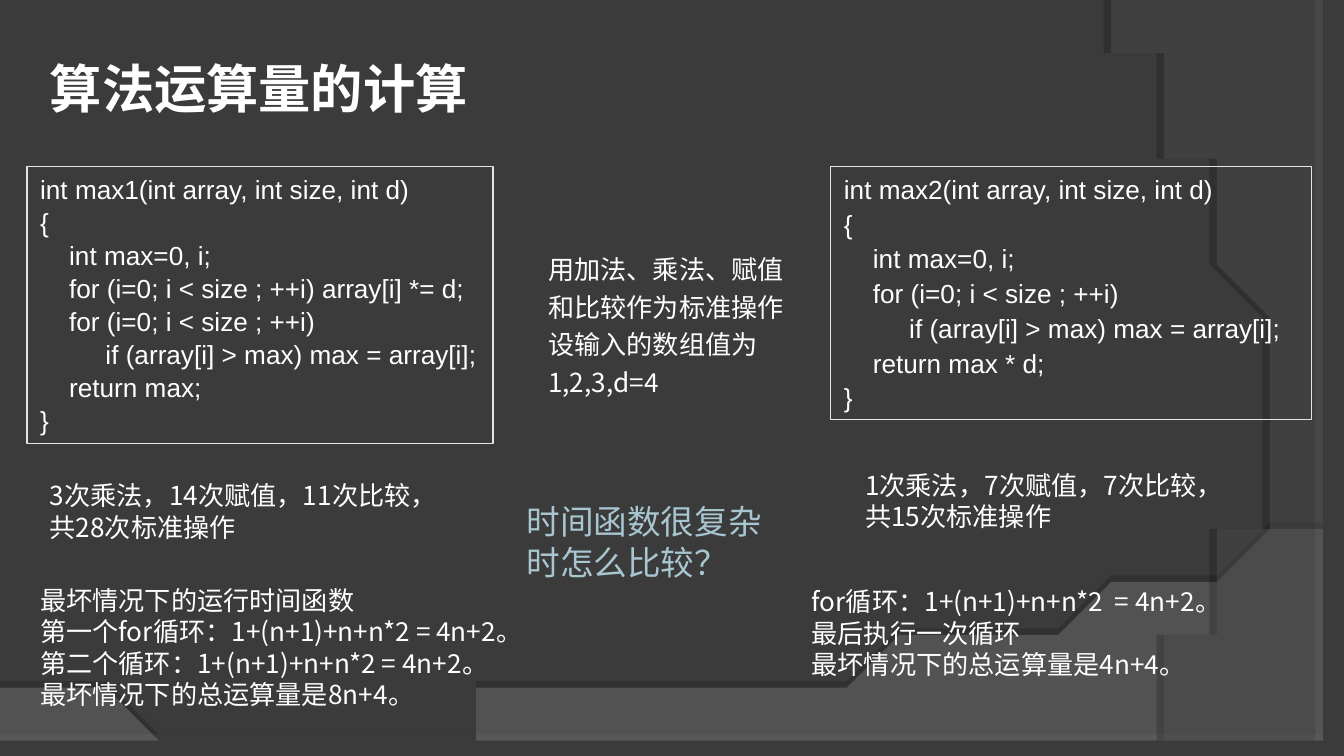
import lxml.etree
import pptx
import pptx.dml.color
import pptx.enum.shapes
import pptx.enum.text
import pptx.oxml.ns
import pptx.util

Cm, Pt = pptx.util.Cm, pptx.util.Pt
RGB = pptx.dml.color.RGBColor
ALIGN = pptx.enum.text.PP_ALIGN
qn = pptx.oxml.ns.qn

DARK = RGB(0x3B, 0x3B, 0x3B)
WAVE = RGB(0x7C, 0x7C, 0x7C)
ARC = RGB(0x59, 0x59, 0x59)
EDGE = RGB(0xE5, 0xE5, 0xE5)
WHITE = RGB(0xFF, 0xFF, 0xFF)
BLUE = RGB(0xA8, 0xC6, 0xD0)
SANS, CODE = "Noto Sans CJK SC", "Arial"


def bend(a, b, c, d, steps=60):
    """Points along a cubic curve from a to d."""
    for i in range(1, steps + 1):
        t = i / steps
        u = 1 - t
        yield tuple(u**3 * p + 3 * u * u * t * q + 3 * u * t * t * r + t**3 * s
                    for p, q, r, s in zip(a, b, c, d))


class Deck:
    pitch = 1.2  # line height as a share of the text size

    def __init__(self, wide, high):
        self.prs = pptx.Presentation()
        self.prs.slide_width, self.prs.slide_height = Cm(wide), Cm(high)

    def page(self):
        self.slide = self.prs.slides.add_slide(self.prs.slide_layouts[5])
        fill = self.slide.background.fill
        fill.solid()
        fill.fore_color.rgb = DARK

    def put(self, shape, lines, size=14, font=SANS, color=WHITE,
            bold=False, align=ALIGN.LEFT, lead=1, gap=0):
        frame = shape.text_frame
        frame.word_wrap = True
        frame.auto_size = pptx.enum.text.MSO_AUTO_SIZE.NONE
        frame.vertical_anchor = pptx.enum.text.MSO_ANCHOR.TOP
        for i, line in enumerate(lines):
            para = frame.add_paragraph() if i else frame.paragraphs[0]
            para.alignment = align
            para.line_spacing = Pt(size * self.pitch * lead)
            if i:
                para.space_before = Pt(gap)
            run = para.add_run()
            run.text = line
            run.font.size, run.font.bold = Pt(size), bold
            run.font.color.rgb = color
            run.font.name = font
            east = lxml.etree.SubElement(run.font._element, qn("a:ea"))
            east.set("typeface", font)

    def title(self, box, text):
        shape = self.slide.shapes.title
        shape.left, shape.top, shape.width, shape.height = map(Cm, box)
        self.put(shape, [text], size=28, bold=True)

    def text(self, box, lines, **look):
        self.put(self.slide.shapes.add_textbox(*map(Cm, box)), lines, **look)

    def code(self, box, lines, gap):
        shape = self.slide.shapes.add_shape(
            pptx.enum.shapes.MSO_SHAPE.RECTANGLE, *map(Cm, box))
        shape.shadow.inherit = False
        shape.fill.background()
        shape.line.color.rgb = EDGE
        shape.line.width = Pt(0.75)
        self.put(shape, lines, font=CODE, align=ALIGN.JUSTIFY, gap=gap)

    def sweep(self, points, color, alpha, shade, dist, angle):
        """Clear filled outline with a hard shadow."""
        start, *rest = points
        form = self.slide.shapes.build_freeform(*start, scale=Cm(1))
        form.add_line_segments(rest, close=True)
        shape = form.convert_to_shape()
        shape.line.fill.background()
        shape.fill.solid()
        shape.fill.fore_color.rgb = color
        shape.shadow.inherit = False
        props = shape._element.spPr
        tint = props.find(qn("a:solidFill")).find(qn("a:srgbClr"))
        lxml.etree.SubElement(tint, qn("a:alpha")).set("val", str(alpha * 1000))
        cast = lxml.etree.SubElement(
            props.find(qn("a:effectLst")), qn("a:outerShdw"), blurRad="0",
            dist=str(int(Pt(dist))), dir=str(angle * 60000), rotWithShape="0")
        black = lxml.etree.SubElement(cast, qn("a:srgbClr"), val="000000")
        lxml.etree.SubElement(black, qn("a:alpha")).set("val", str(shade * 1000))


def main():
    wide, high = 25.4, 14.29
    deck = Deck(wide, high)
    deck.page()

    # Backdrop curves
    low = [(0, 13.44), (0, high), (wide, high), (wide, 9.91)]
    low += bend(low[-1], (14.2, 13.89), (9.93, 13.69), low[0])
    deck.sweep(low, WAVE, 45, 35, 3.5, 270)
    side = [(wide, 0.03), (wide, high), (20.85, 14.27)]
    side += bend(side[-1], (23.75, 11.79), (25.86, 5.72), (20.32, 0))
    deck.sweep(side, ARC, 40, 45, 4, 180)

    deck.title((0.69, 0.94, 9.27, 1.45), "算法运算量的计算")

    # The two functions
    deck.code((0.51, 3.15, 8.81, 5.23), [
        "int max1(int array, int size, int d)",
        "{",
        "    int max=0, i;",
        "    for (i=0; i < size ; ++i) array[i] *= d;",
        "    for (i=0; i < size ; ++i)",
        "         if (array[i] > max) max = array[i];",
        "    return max;",
        "}"], gap=0.9)
    deck.code((15.7, 3.15, 9.09, 4.78), [
        "int max2(int array, int size, int d)",
        "{",
        "    int max=0, i;",
        "    for (i=0; i < size ; ++i)",
        "         if (array[i] > max) max = array[i];",
        "    return max * d;",
        "}"], gap=1.8)

    # Assumptions
    deck.text((10.11, 4.55, 5.11, 3.1), [
        "用加法、乘法、赋值和比较作为标准操作",
        "设输入的数组值为1,2,3,d=4"], lead=1.2)

    # Operation counts
    deck.text((0.69, 8.94, 8.2, 1.45), [
        "3次乘法，14次赋值，11次比较，",
        "共28次标准操作"])
    deck.text((16.1, 8.74, 8.2, 1.45), [
        "1次乘法，7次赋值，7次比较，",
        "共15次标准操作"])

    # Worst case
    deck.text((0.51, 10.92, 10.41, 2.64), [
        "最坏情况下的运行时间函数",
        "第一个for循环：1+(n+1)+n+n*2 = 4n+2。",
        "第二个循环：1+(n+1)+n+n*2 = 4n+2。",
        "最坏情况下的总运算量是8n+4。"])
    deck.text((15.09, 10.95, 9.6, 2.03), [
        "for循环：1+(n+1)+n+n*2  = 4n+2。",
        "最后执行一次循环",
        "最坏情况下的总运算量是4n+4。"])

    # Closing question
    deck.text((9.7, 9.35, 5, 1.78), ["时间函数很复杂时怎么比较？"],
              size=18, color=BLUE)

    deck.prs.save("out.pptx")


if __name__ == "__main__":
    main()
